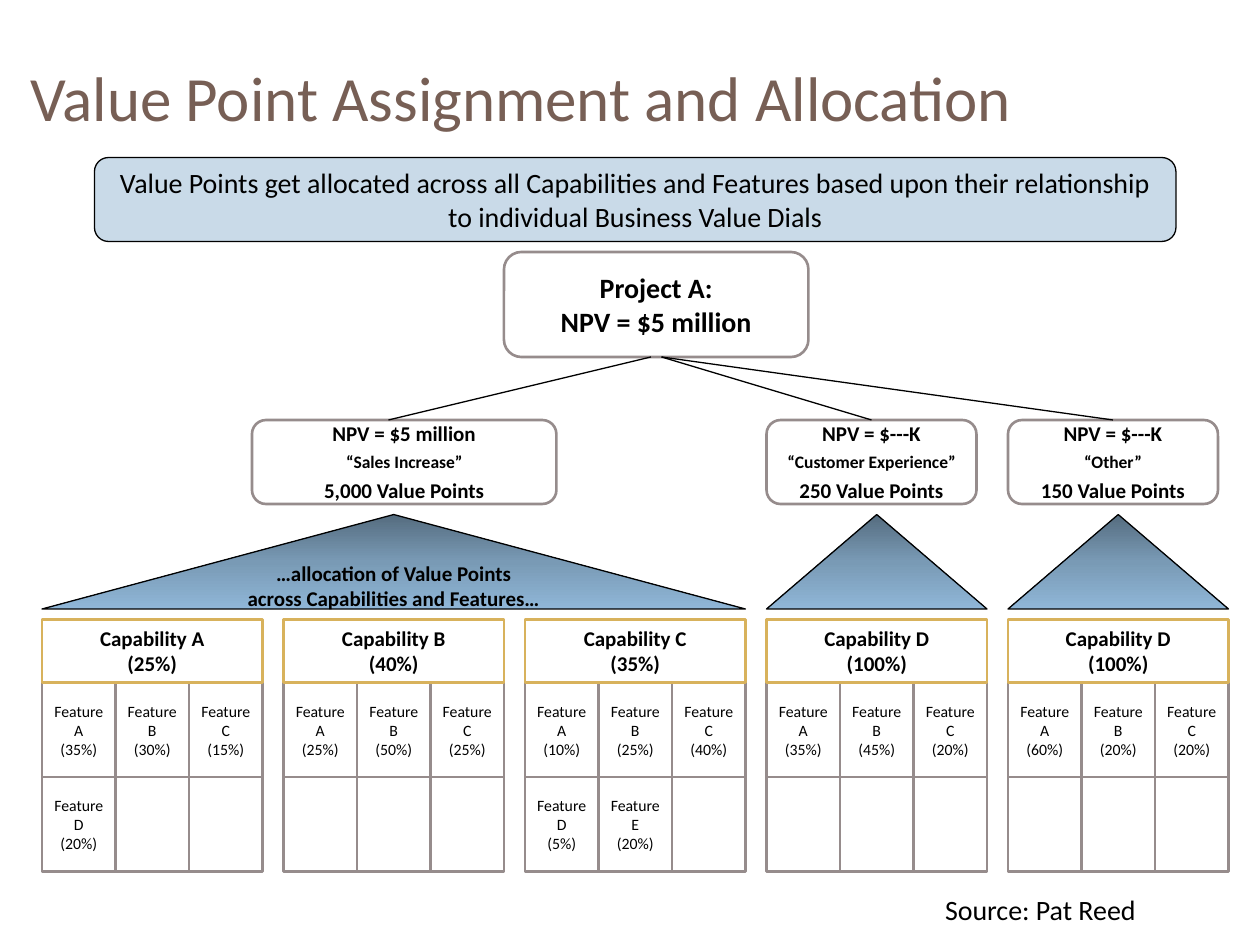
from copy import deepcopy

from lxml import etree
from pptx import Presentation
from pptx.dml.color import RGBColor
from pptx.enum.shapes import MSO_CONNECTOR, MSO_SHAPE
from pptx.enum.text import MSO_ANCHOR, MSO_AUTO_SIZE, PP_ALIGN
from pptx.oxml.ns import qn
from pptx.util import Inches, Pt

RECTANGLE = MSO_SHAPE.RECTANGLE
ROUNDED = MSO_SHAPE.ROUNDED_RECTANGLE
PROCESS = MSO_SHAPE.FLOWCHART_ALTERNATE_PROCESS
TRIANGLE = MSO_SHAPE.ISOSCELES_TRIANGLE
STRAIGHT = MSO_CONNECTOR.STRAIGHT
TOP, MIDDLE, BOTTOM = MSO_ANCHOR.TOP, MSO_ANCHOR.MIDDLE, MSO_ANCHOR.BOTTOM
CENTER, LEFT = PP_ALIGN.CENTER, PP_ALIGN.LEFT
FIT_TEXT = MSO_AUTO_SIZE.SHAPE_TO_FIT_TEXT

BLACK = RGBColor(0x00, 0x00, 0x00)
WHITE = RGBColor(0xFF, 0xFF, 0xFF)
BROWN = RGBColor(0x77, 0x5F, 0x55)
GRAY = RGBColor(0x96, 0x8C, 0x8C)
GOLD = RGBColor(0xD8, 0xB2, 0x5C)
BLUE = RGBColor(0x94, 0xB6, 0xD2)
GRADIENT = [
    (0, RGBColor(0x55, 0x6C, 0x7F)),
    (0.5, RGBColor(0x79, 0x9A, 0xB5)),
    (1, RGBColor(0x8F, 0xB6, 0xD7)),
]

FONT = "Calibri"
UNIT = Inches(1) // 12
GRID_LEFT, GRID_PITCH, CAPABILITY_WIDTH = 4, 23, 21
FEATURE_WIDTH, FEATURE_HEIGHT, FEATURE_TOP = 7, 9, 65
FEATURES_PER_ROW, FEATURE_CELLS = 3, 6

CAPABILITIES = [
    ("A", 25, [35, 30, 15, 20]),
    ("B", 40, [25, 50, 25]),
    ("C", 35, [10, 25, 40, 5, 20]),
    ("D", 100, [35, 45, 20]),
    ("D", 100, [60, 20, 20]),
]
DIALS = [
    (24, 29, ["NPV = $5 million", "“Sales Increase”", "5,000 Value Points"]),
    (73, 20, ["NPV = $---K", "“Customer Experience”", "250 Value Points"]),
    (96, 20, ["NPV = $---K", "“Other”", "150 Value Points"]),
]
ALLOCATIONS = [
    (0, 3, ["…allocation of Value Points", "across Capabilities and Features…"]),
    (3, 1, []),
    (4, 1, []),
]


def column_left(column):
    return GRID_LEFT + column * GRID_PITCH


class ValueSlide:
    def __init__(self, presentation):
        self.slide = presentation.slides.add_slide(presentation.slide_layouts[6])

    def fill_text(self, shape, lines, sizes, color=BLACK, bold=False, align=CENTER,
                  anchor=MIDDLE, wrap=False, gap=0):
        frame = shape.text_frame
        frame.word_wrap = wrap
        frame.vertical_anchor = anchor
        for index, line in enumerate(lines):
            paragraph = frame.add_paragraph() if index else frame.paragraphs[0]
            paragraph.text = line
            paragraph.alignment = align
            if index and gap:
                paragraph.space_before = Pt(gap)
            font = paragraph.font
            font.name, font.size, font.bold = FONT, Pt(sizes[index % len(sizes)]), bold
            font.color.rgb = color

    def text(self, left, top, width, height, line, size, **style):
        place = [round(value * UNIT) for value in (left, top, width, height)]
        box = self.slide.shapes.add_textbox(*place)
        self.fill_text(box, [line], [size], align=LEFT, **style)
        return box.text_frame

    def box(self, kind, left, top, width, height, lines, sizes,
            fill=WHITE, line=GRAY, weight=1.5, **style):
        place = [value * UNIT for value in (left, top, width, height)]
        shape = self.slide.shapes.add_shape(kind, *place)
        shape.shadow.inherit = False
        shape.fill.solid()
        shape.fill.fore_color.rgb = fill
        shape.line.color.rgb = line
        shape.line.width = Pt(weight)
        self.fill_text(shape, lines, sizes, **style)
        return shape

    def triangle(self, column, span, lines):
        width = (span - 1) * GRID_PITCH + CAPABILITY_WIDTH
        shape = self.box(TRIANGLE, column_left(column), 49, width, 9, lines, [12],
                         line=BLACK, weight=0.75, bold=True)
        shape.fill.gradient()
        shape.fill.gradient_angle = 270
        stop_list = shape._element.spPr.find(qn("a:gradFill")).find(qn("a:gsLst"))
        stop_list.append(deepcopy(stop_list[0]))
        for stop, (position, color) in zip(shape.fill.gradient_stops, GRADIENT):
            stop.position = position
            stop.color.rgb = color

    def banner(self, line):
        shape = self.box(ROUNDED, 9, 15, 103, 8, [line], [16],
                         fill=BLUE, line=BLACK, weight=0.75, wrap=True)
        color = shape._element.spPr.find(qn("a:solidFill"))[0]
        etree.SubElement(color, qn("a:alpha"), val="50000")

    def connector(self, start, end, target=None):
        points = [value * UNIT for value in (*start, *end)]
        connector = self.slide.shapes.add_connector(STRAIGHT, *points)
        connector.line.color.rgb = BLACK
        connector.line.width = Pt(0.75)
        etree.SubElement(connector._element.spPr, qn("a:effectLst"))
        if target is not None:
            connector.end_connect(target, 0)

    def capability(self, column, name, share, features):
        left = column_left(column)
        for index in range(FEATURE_CELLS):
            row, cell = divmod(index, FEATURES_PER_ROW)
            lines = []
            if index < len(features):
                lines = ["Feature", "ABCDE"[index], f"({features[index]}%)"]
            self.box(RECTANGLE, left + cell * FEATURE_WIDTH, FEATURE_TOP + row * FEATURE_HEIGHT,
                     FEATURE_WIDTH, FEATURE_HEIGHT, lines, [9])
        self.box(RECTANGLE, left, 59, CAPABILITY_WIDTH, 6,
                 [f"Capability {name}", f"({share}%)"], [12], line=GOLD, bold=True)


def main():
    presentation = Presentation()
    presentation.slide_width, presentation.slide_height = Inches(10), Inches(7.5)
    page = ValueSlide(presentation)

    title = page.text(1.7, 6, 114, 7, "Value Point Assignment and Allocation", 36,
                      color=BROWN, anchor=BOTTOM, wrap=True)
    title.margin_top, title.margin_bottom = 0, Inches(0.02)

    page.box(PROCESS, 48, 24, 29, 10, ["Project A:", "NPV = $5 million"], [16], bold=True)
    dials = [page.box(PROCESS, left, 40, width, 8, lines, [12, 10, 12], bold=True, gap=3)
             for left, width, lines in DIALS]
    for allocation in ALLOCATIONS:
        page.triangle(*allocation)
    page.connector((62, 34), (37, 40))
    for dial, center in zip(dials[1:], (83, 106)):
        page.connector((63, 34), (center, 40), dial)
    page.banner("Value Points get allocated across all Capabilities and Features "
                "based upon their relationship to individual Business Value Dials")
    for column, capability in enumerate(CAPABILITIES):
        page.capability(column, *capability)

    source = page.text(90, 84.4, 21.2, 4.4, "Source: Pat Reed", 16, anchor=TOP)
    source.margin_left = source.margin_right = 0
    source.auto_size = FIT_TEXT

    presentation.save("out.pptx")


if __name__ == "__main__":
    main()
